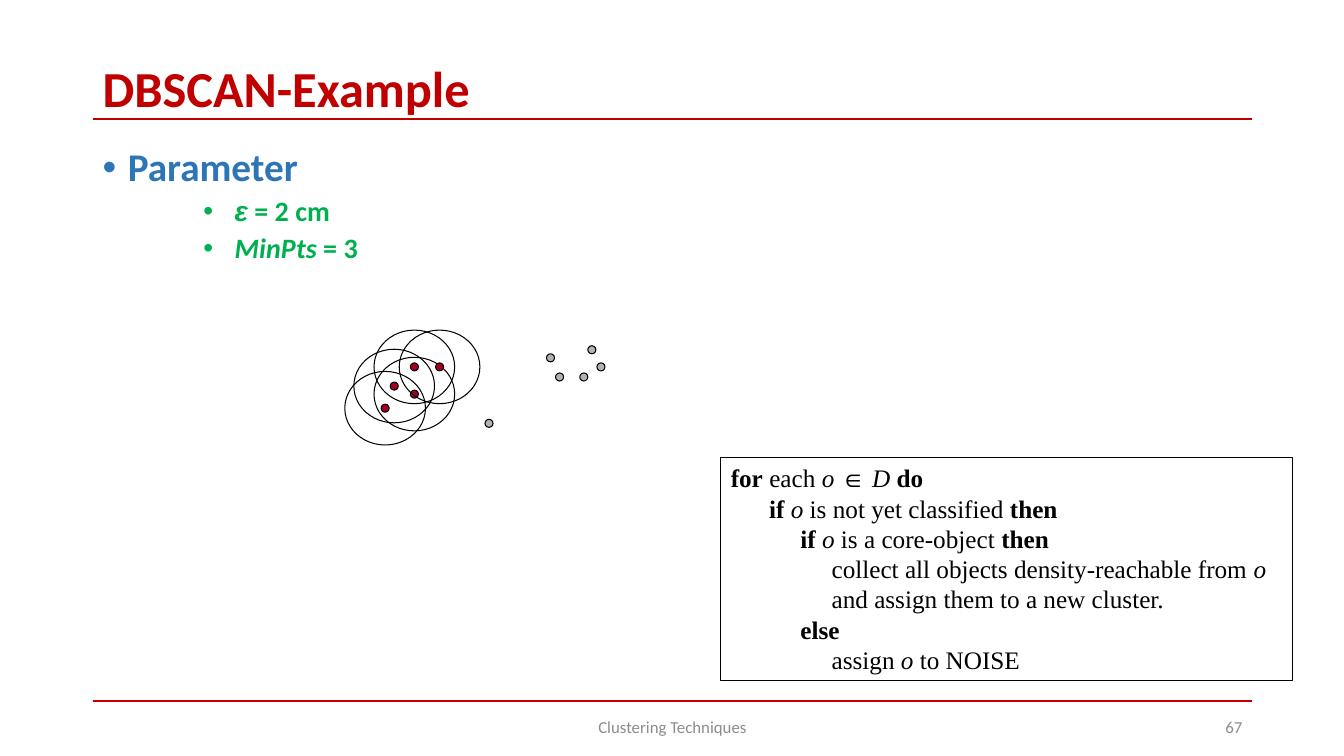
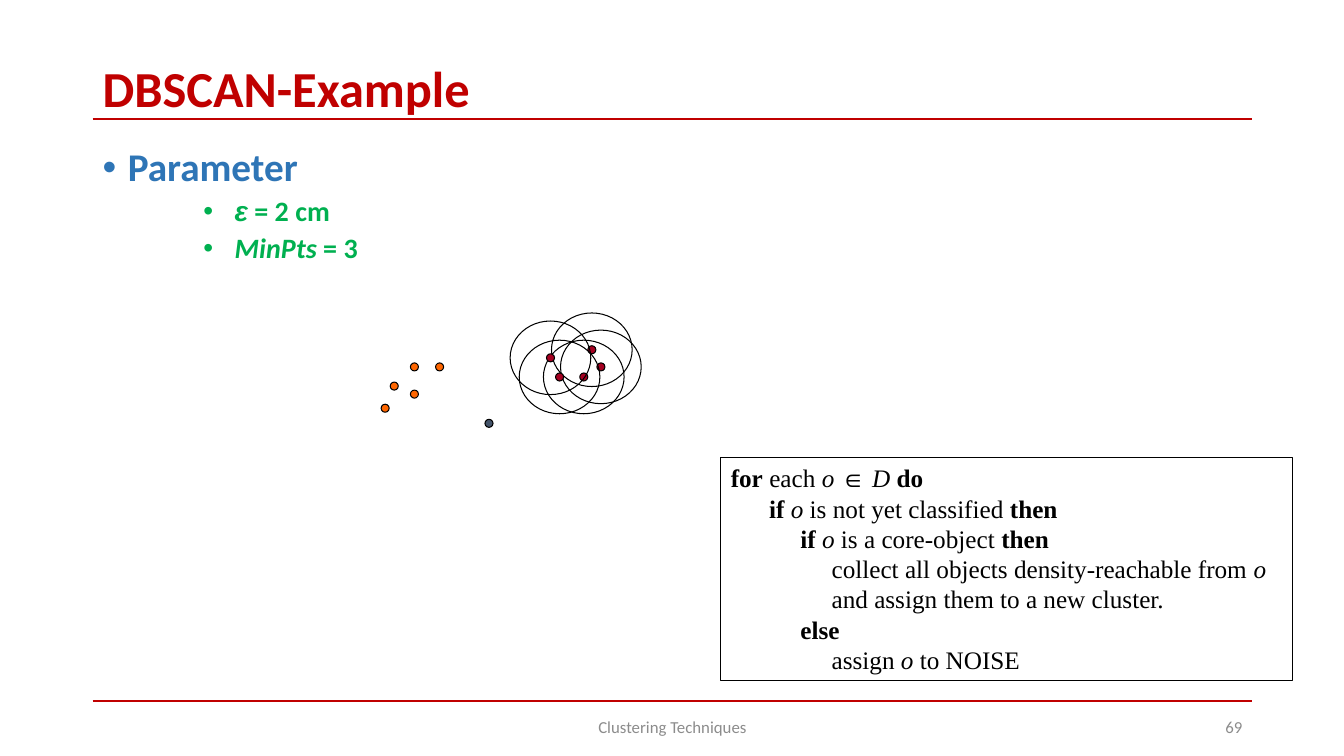
from pptx import Presentation
from pptx.dml.color import RGBColor
from pptx.enum.shapes import MSO_CONNECTOR as LINE, MSO_SHAPE as SHAPE
from pptx.enum.text import MSO_ANCHOR as ANCHOR, PP_ALIGN as ALIGN
from pptx.oxml.ns import qn
from pptx.util import Inches, Pt
from lxml import etree

RED = RGBColor(0xC0, 0x00, 0x00)
BLUE = RGBColor(0x2E, 0x75, 0xB6)
GREEN = RGBColor(0x00, 0xB0, 0x50)
GRAY = RGBColor(0x8C, 0x8C, 0x8C)
BLACK = RGBColor(0x00, 0x00, 0x00)
CORE = RGBColor(0xA5, 0x00, 0x21)
OPEN = RGBColor(0xB2, 0xB2, 0xB2)
DONE = RGBColor(0xFF, 0x66, 0x00)
NOISE = RGBColor(0x44, 0x54, 0x6A)

DOT = 0.08
RING_W, RING_H = 0.8, 0.73

# Top left corners of the data points
LEFT = [(3.78, 4.01), (3.87, 3.79), (4.07, 3.6), (4.07, 3.87), (4.32, 3.6)]
RIGHT = [(5.92, 3.6), (5.83, 3.43), (5.75, 3.7), (5.51, 3.7), (5.42, 3.51)]
LONE = (4.81, 4.16)

# Each line: indent, then runs of text and style (b bold, i italic, a Arial)
CODE = [
    (0, [("for", "b"), (" each ", ""), ("o ", "i"), ("∈", "a"), (" D ", "i"), ("do", "b")]),
    (0.38, [("if ", "b"), ("o", "i"), (" is not yet classified ", ""), ("then", "b")]),
    (0.69, [("if ", "b"), ("o", "i"), (" is a core-object ", ""), ("then", "b")]),
    (1, [("collect all objects density-reachable from ", ""), ("o", "i")]),
    (1, [("and assign them to a new cluster.", "")]),
    (0.69, [("else", "b")]),
    (1, [("assign ", ""), ("o", "i"), (" to NOISE", "")]),
]


def write(frame, runs, size, color, font="Calibri", align=ALIGN.LEFT,
          left=0, hang=0, before=0, space=1.0):
    """Add a paragraph to the frame; a hang gives it a bullet."""
    para = frame.paragraphs[0]
    if para.runs:
        para = frame.add_paragraph()
    props = para._p.get_or_add_pPr()
    props.set("marL", str(Inches(left)))
    props.set("indent", str(Inches(-hang)))
    if hang:
        etree.SubElement(props, qn("a:buFont")).set("typeface", "Arial")
        etree.SubElement(props, qn("a:buChar")).set("char", "•")
    para.alignment = align
    para.line_spacing = space
    para.space_before = Pt(before)
    for text, style in runs:
        run = para.add_run()
        run.text = text
        run.font.size = Pt(size)
        run.font.color.rgb = color
        run.font.name = "Arial" if "a" in style else font
        run.font.bold = "b" in style
        run.font.italic = "i" in style


def oval(shapes, x, y, w, h, fill=None):
    item = shapes.add_shape(SHAPE.OVAL, Inches(x), Inches(y), Inches(w), Inches(h))
    item.shadow.inherit = False
    item.line.color.rgb = BLACK
    item.line.width = Pt(0.75)
    if fill is None:
        item.fill.background()
    else:
        item.fill.solid()
        item.fill.fore_color.rgb = fill


deck = Presentation()
deck.slide_width, deck.slide_height = Inches(13.33), Inches(7.5)

pages = [
    ("67", [(p, OPEN) for p in RIGHT + [LONE]], LEFT),
    ("69", [(p, DONE) for p in LEFT] + [(LONE, NOISE)], RIGHT),
]
for number, plain, cores in pages:
    shapes = deck.slides.add_slide(deck.slide_layouts[6]).shapes

    for y in (1.18, 6.95):
        rule = shapes.add_connector(LINE.STRAIGHT, Inches(0.92), Inches(y), Inches(12.42), Inches(y))
        rule.line.color.rgb = RED
        rule.line.width = Pt(1.5)
        etree.SubElement(rule._element.spPr, qn("a:effectLst"))

    # Title, footer, page number and parameter list
    frames = []
    for x, y, w, h, anchor in [
        (0.92, 0.61, 11.5, 0.58, ANCHOR.MIDDLE),
        (4.42, 7.01, 4.5, 0.4, ANCHOR.MIDDLE),
        (9.42, 7.01, 3, 0.4, ANCHOR.MIDDLE),
        (0.92, 1.42, 3.5, 1.58, ANCHOR.TOP),
    ]:
        frame = shapes.add_textbox(Inches(x), Inches(y), Inches(w), Inches(h)).text_frame
        frame.word_wrap = True
        frame.vertical_anchor = anchor
        frames.append(frame)
    title, foot, page, params = frames
    write(title, [("DBSCAN-Example", "b")], 36, RED, space=0.9)
    write(foot, [("Clustering Techniques", "")], 12, GRAY, align=ALIGN.CENTER)
    write(page, [(number, "")], 12, GRAY, align=ALIGN.RIGHT)
    write(params, [("Parameter", "b")], 28, BLUE, left=0.25, hang=0.25, space=0.9)
    for runs in ([("ε", "bia"), (" = 2 cm", "b")], [("MinPts", "bi"), (" = 3", "b")]):
        write(params, runs, 20, GREEN, left=1.31, hang=0.31, before=5, space=0.9)

    box = shapes.add_shape(SHAPE.RECTANGLE, Inches(7.15), Inches(4.54), Inches(5.67), Inches(2.21))
    box.shadow.inherit = False
    box.fill.background()
    box.line.color.rgb = BLACK
    box.line.width = Pt(0.75)
    box.text_frame.word_wrap = True
    box.text_frame.vertical_anchor = ANCHOR.TOP
    for left, runs in CODE:
        write(box.text_frame, runs, 18, BLACK, font="Times New Roman", left=left)

    for (x, y), color in plain:
        oval(shapes, x, y, DOT, DOT, color)
    for x, y in cores:
        group = shapes.add_group_shape().shapes
        oval(group, x + (DOT - RING_W) / 2, y + (DOT - RING_H) / 2, RING_W, RING_H)
        oval(group, x, y, DOT, DOT, CORE)

deck.save("out.pptx")
